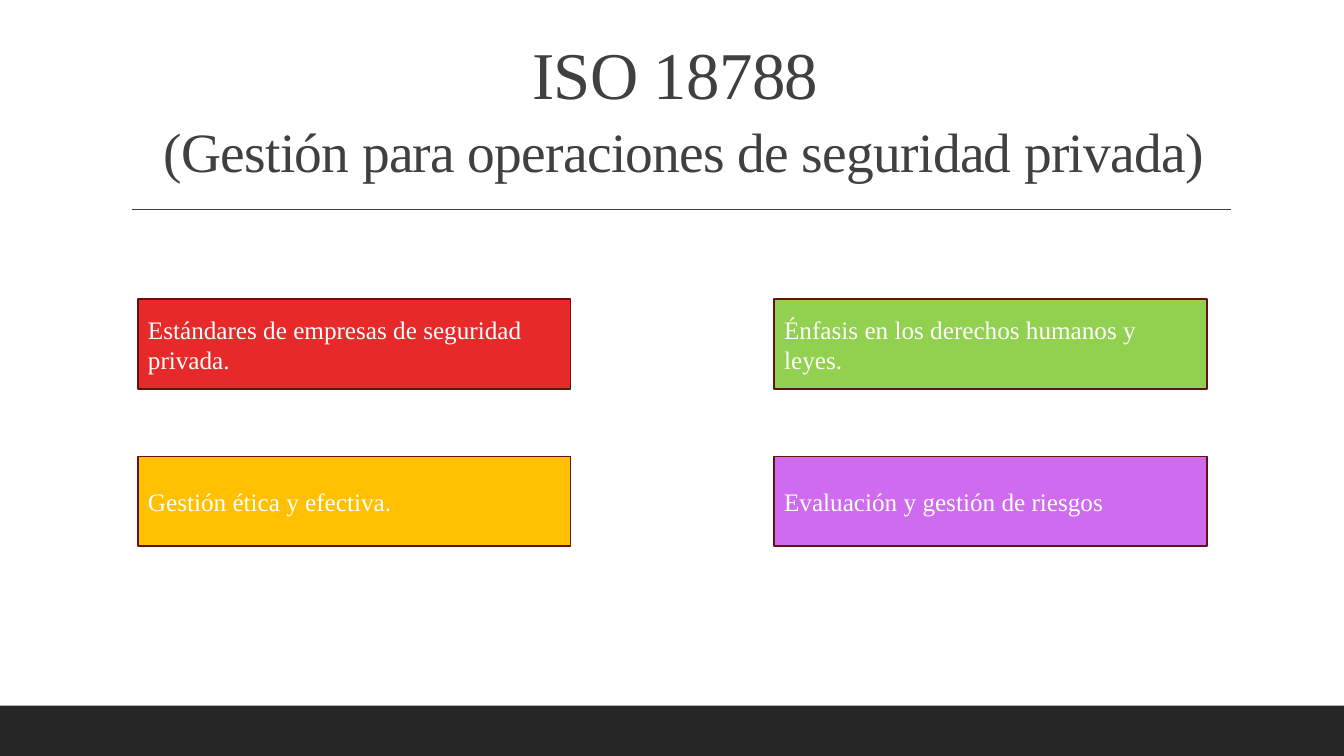
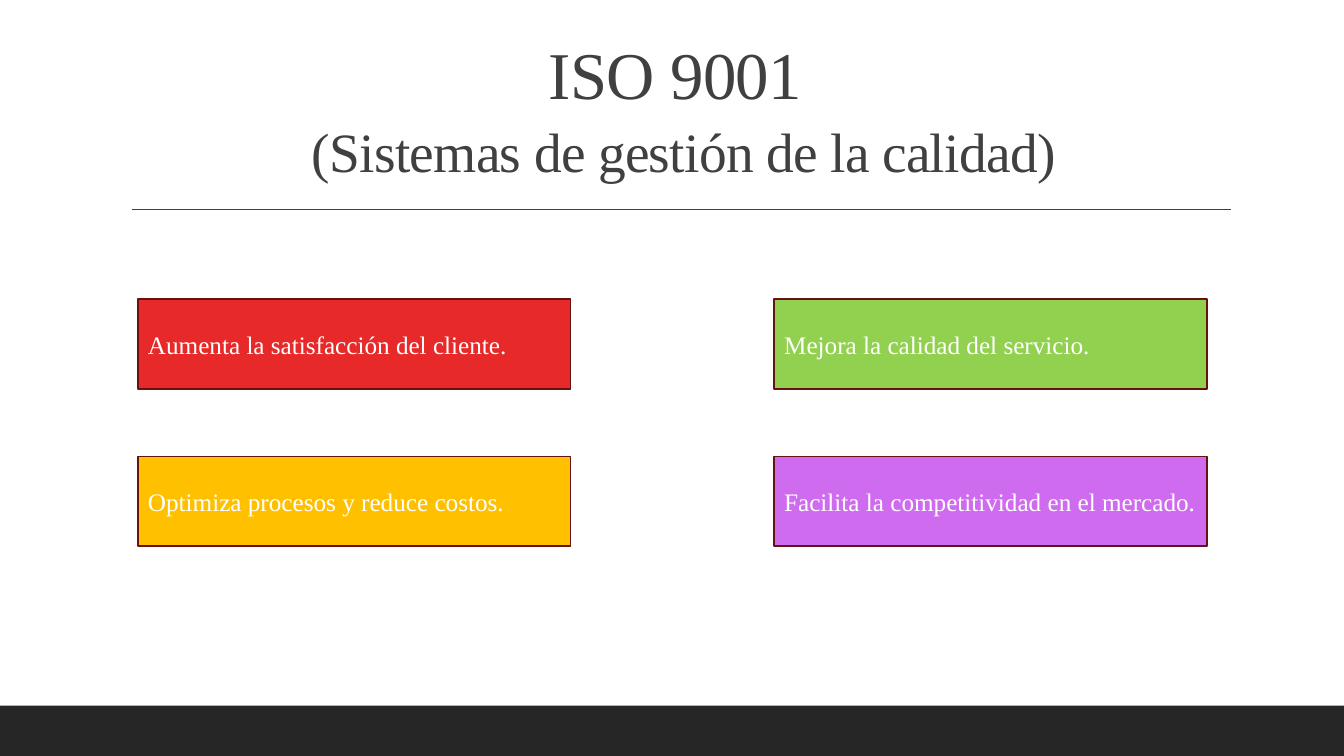
from pptx import Presentation
from pptx.dml.color import RGBColor
from pptx.enum.shapes import MSO_CONNECTOR, MSO_SHAPE
from pptx.enum.text import MSO_ANCHOR, PP_ALIGN
from pptx.oxml.ns import qn
from pptx.util import Pt
from lxml.etree import SubElement

# Content: title, subtitle, cards in reading order
SLIDES = [
    ("ISO 18788", "(Gestión para operaciones de seguridad privada)", [
        "Estándares de empresas de seguridad privada.",
        "Énfasis en los derechos humanos y leyes.",
        "Gestión ética y efectiva.",
        "Evaluación y gestión de riesgos",
    ]),
    ("ISO 9001", "(Sistemas de gestión de la calidad)", [
        "Aumenta la satisfacción del cliente.",
        "Mejora la calidad del servicio.",
        "Optimiza procesos y reduce costos.",
        "Facilita la competitividad en el mercado.",
    ]),
]

# Shared style, lengths in points
COLORS = {
    "band": "262626", "title": "404040", "border": "651212", "text": "FFFFFF",
    "red": "E72A29", "green": "92D050", "amber": "FFC000", "violet": "CF6BEF",
}
CARD_FILLS = ["red", "green", "amber", "violet"]
FONT = "Times New Roman"
TITLE_SIZE, SUBTITLE_SIZE, CARD_SIZE = 47.7, 39.6, 18
WIDTH, HEIGHT, BAND_HEIGHT = 960, 540, 36
RULE_LEFT, RULE_RIGHT, RULE_TOP = 94.3, 879, 149.5
TITLE_BOX = (86.4, 22.3, 792, 114.5)
GRID_LEFT, GRID_TOP, COLUMNS = 98.6, 213.8, 2
CARD_WIDTH, CARD_HEIGHT = 309, 64
COLUMN_STEP, ROW_STEP = 454.4, 112.3


def color(name):
    return RGBColor.from_string(COLORS[name])


def add_rectangle(page, left, top, width, height, fill):
    box = page.shapes.add_shape(
        MSO_SHAPE.RECTANGLE, Pt(left), Pt(top), Pt(width), Pt(height))
    box.shadow.inherit = False
    box.fill.solid()
    box.fill.fore_color.rgb = color(fill)
    box.line.fill.background()
    return box


def style_font(para, size, name):
    para.font.name = FONT
    para.font.size = Pt(size)
    para.font.color.rgb = color(name)


def add_frame(page):
    # Bottom band and the rule under the title
    add_rectangle(page, 0, HEIGHT - BAND_HEIGHT, WIDTH, BAND_HEIGHT, "band")
    rule = page.shapes.add_connector(
        MSO_CONNECTOR.STRAIGHT,
        Pt(RULE_LEFT), Pt(RULE_TOP), Pt(RULE_RIGHT), Pt(RULE_TOP))
    rule.line.color.rgb = color("title")
    rule.line.width = Pt(1)
    SubElement(rule._element.spPr, qn("a:effectLst"))


def add_title(page, title, subtitle):
    frame = page.shapes.add_textbox(*map(Pt, TITLE_BOX)).text_frame
    frame.word_wrap = True
    frame.vertical_anchor = MSO_ANCHOR.BOTTOM
    para = frame.paragraphs[0]
    para.alignment = PP_ALIGN.CENTER
    para.line_spacing = 0.9
    style_font(para, TITLE_SIZE, "title")
    para.add_run().text = title
    para.add_line_break()
    para.add_run().text = " "
    span = para.add_run()
    span.text = subtitle
    span.font.size = Pt(SUBTITLE_SIZE)
    for span in para.runs:
        span._r.get_or_add_rPr().set("spc", "-50")


def add_cards(page, texts):
    for index, (text, fill) in enumerate(zip(texts, CARD_FILLS)):
        row, column = divmod(index, COLUMNS)
        box = add_rectangle(
            page, GRID_LEFT + column * COLUMN_STEP, GRID_TOP + row * ROW_STEP,
            CARD_WIDTH, CARD_HEIGHT, fill)
        box.line.color.rgb = color("border")
        box.line.width = Pt(1.25)
        frame = box.text_frame
        frame.word_wrap = True
        frame.vertical_anchor = MSO_ANCHOR.MIDDLE
        para = frame.paragraphs[0]
        para.text = text
        para.alignment = PP_ALIGN.LEFT
        style_font(para, CARD_SIZE, "text")


def main():
    deck = Presentation()
    deck.slide_width, deck.slide_height = Pt(WIDTH), Pt(HEIGHT)
    for title, subtitle, texts in SLIDES:
        page = deck.slides.add_slide(deck.slide_layouts[6])
        add_frame(page)
        add_title(page, title, subtitle)
        add_cards(page, texts)
    deck.save("out.pptx")


if __name__ == "__main__":
    main()
